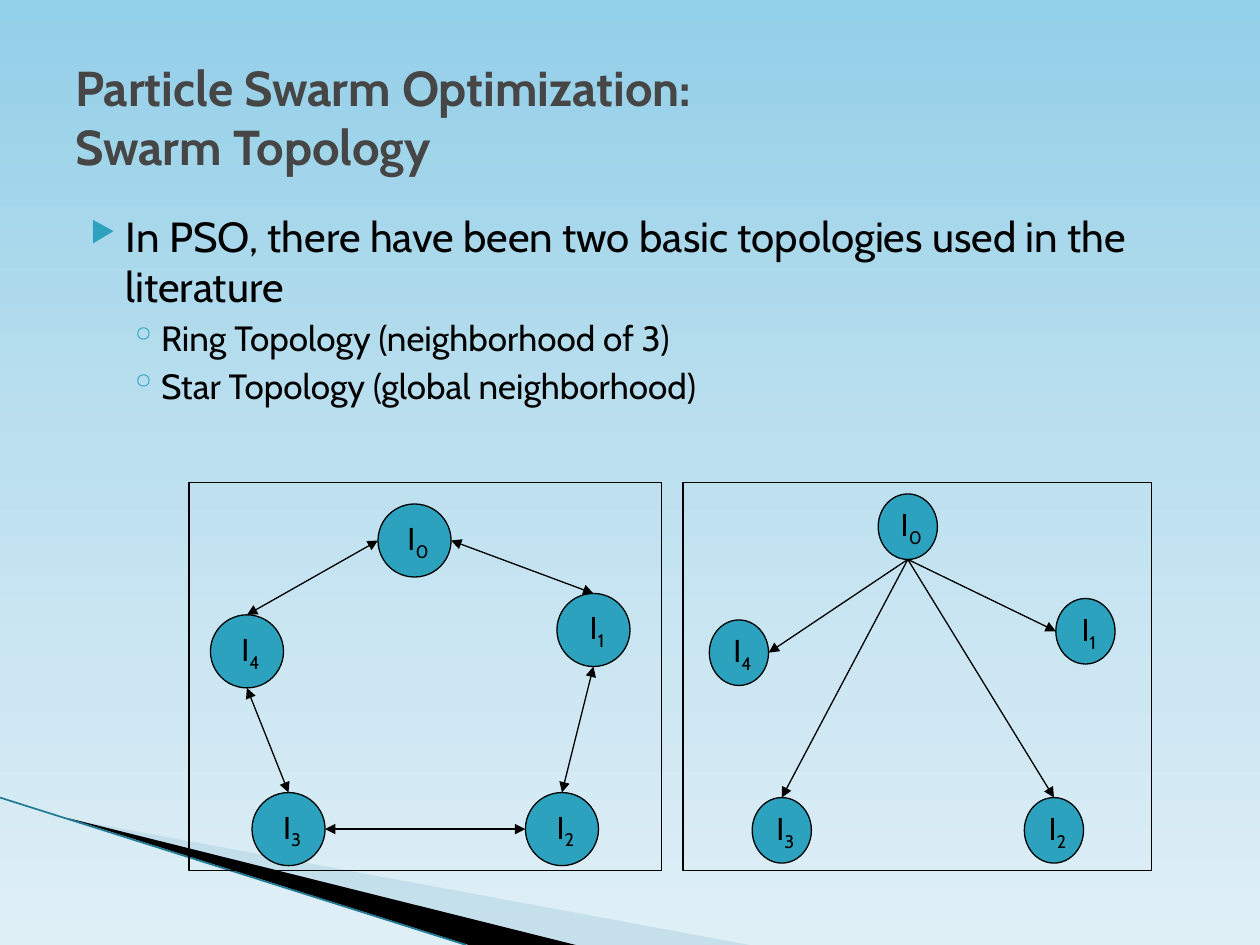
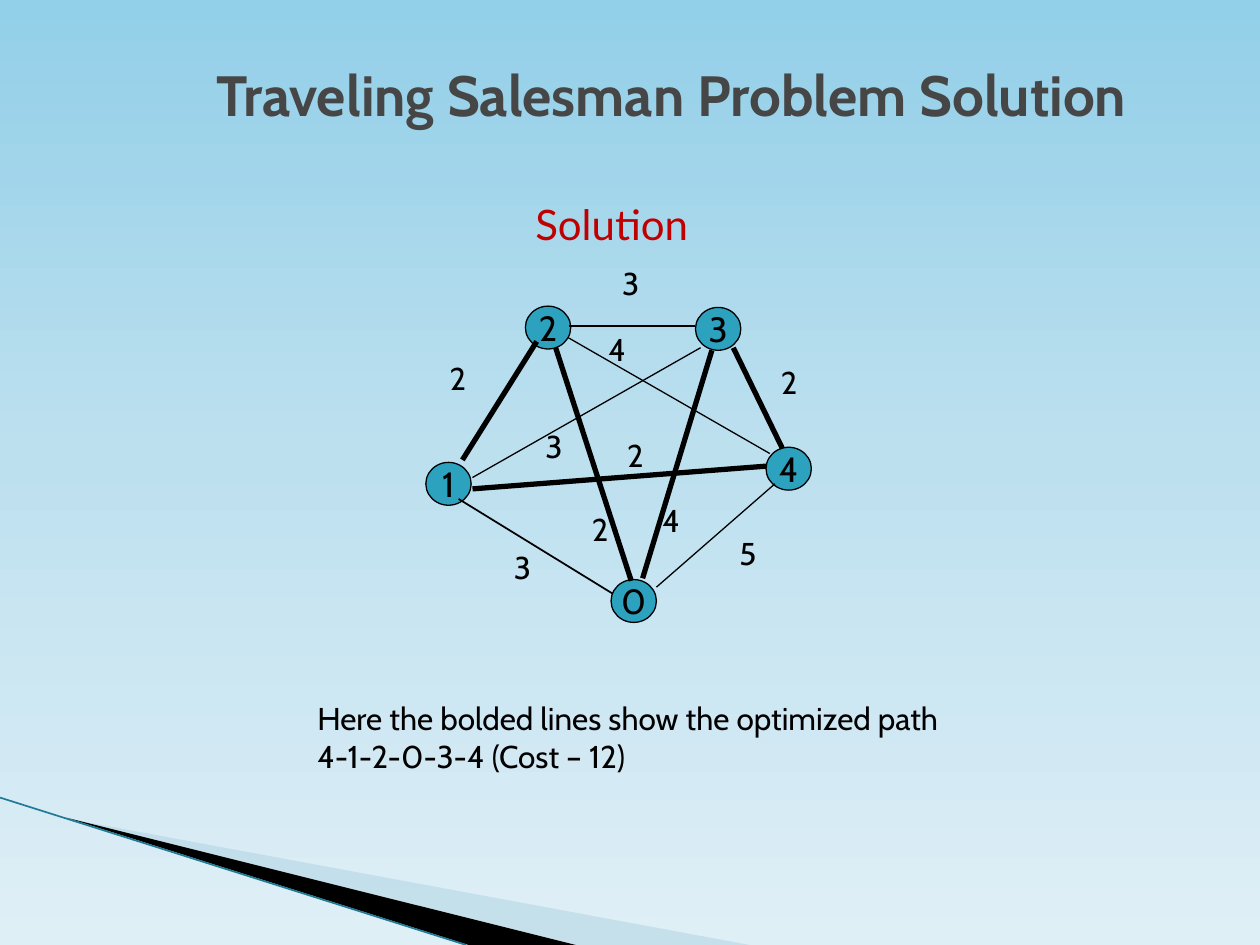
import copy

from lxml import etree
from pptx import Presentation
from pptx import util as u
from pptx.dml.color import RGBColor
from pptx.enum import shapes, text
from pptx.oxml.ns import qn

COLORS = {
    "sky_top": "92CFE8", "sky_middle": "BDE0EF", "sky_bottom": "DFEFF6",
    "wedge": "A0CBDC", "swoosh": "1F7A96", "node": "2DA2BF",
    "title": "464646", "ink": "000000", "accent": "C00000",
}
FONT = "Cabin"
BULLETS = [  # character, left margin, hanging indent, size in %, text size, space before
    ("▶", 0.4, 0.28, 68, 24, 0),
    ("◦", 0.68, 0.25, 100, 20, 3.2),
]
TOP, LEFT, BOTTOM, RIGHT = (0.5, 0), (0, 0.5), (0.5, 1), (1, 0.5)


def rgb(name):
    return RGBColor.from_string(COLORS[name])


def add_child(parent, tag, **attrs):
    child = etree.SubElement(parent, qn(tag))
    for key, value in attrs.items():
        child.set(key, str(value))
    return child


def add_run(p, words, size, color="ink", font=FONT, bold=False):
    r = p.add_run()
    r.text = words
    r.font.size, r.font.name, r.font.bold = u.Pt(size), font, bold
    r.font.color.rgb = rgb(color)
    return r


def add_text(parent, box, lines, size, color="ink", font=FONT):
    """Unwrapped text box that fits its text, one paragraph a line."""
    tf = parent.shapes.add_textbox(*map(u.Inches, box)).text_frame
    tf.word_wrap = False
    tf.auto_size = text.MSO_AUTO_SIZE.SHAPE_TO_FIT_TEXT
    for i, line in enumerate(lines):
        p = tf.add_paragraph() if i else tf.paragraphs[0]
        add_run(p, line, size, color, font)


def add_line(parent, start, end, width=0.75, color="ink", heads=()):
    """Straight line; heads may name headEnd and tailEnd."""
    line = parent.shapes.add_connector(
        shapes.MSO_CONNECTOR.STRAIGHT, *map(u.Inches, (*start, *end)))
    line.line.width = u.Pt(width)
    line.line.color.rgb = rgb(color)
    sp_pr = line._element.spPr
    for head in heads:
        add_child(sp_pr.find(qn("a:ln")), f"a:{head}", type="triangle")
    add_child(sp_pr, "a:effectLst")


def add_outlined(parent, kind, box, fill=None):
    sp = parent.shapes.add_shape(kind, *map(u.Inches, box))
    sp.shadow.inherit = False
    if fill:
        sp.fill.solid()
        sp.fill.fore_color.rgb = rgb(fill)
    else:
        sp.fill.background()
    sp.line.color.rgb = rgb("ink")
    sp.line.width = u.Pt(0.75)
    return sp


def add_node(parent, box, label, size, subscript=None):
    sp = add_outlined(parent, shapes.MSO_SHAPE.OVAL, box, "node")
    tf = sp.text_frame
    tf.word_wrap = False
    tf.vertical_anchor = text.MSO_ANCHOR.MIDDLE
    p = tf.paragraphs[0]
    p.alignment = text.PP_ALIGN.CENTER
    add_run(p, label, size)
    if subscript is not None:
        r = add_run(p, subscript, size)
        r.font._element.set("baseline", "-25000")


def add_wedge(slide, points, color, opacity=None):
    corners = [tuple(map(u.Inches, point)) for point in points]
    builder = slide.shapes.build_freeform(*corners[0])
    builder.add_line_segments(corners[1:])
    sp = builder.convert_to_shape()
    sp.shadow.inherit = False
    sp.fill.solid()
    sp.fill.fore_color.rgb = rgb(color)
    sp.line.fill.background()
    if opacity:
        tone = sp._element.spPr.find(qn("a:solidFill"))[0]
        add_child(tone, "a:alpha", val=opacity * 1000)


def paint_background(slide):
    fill = slide.background.fill
    fill.gradient()
    fill.gradient_angle = 270
    stops = fill.gradient_stops
    first = stops[0]._gs
    first.addnext(copy.deepcopy(first))
    names = ("sky_top", "sky_middle", "sky_bottom")
    for stop, name, position in zip(fill.gradient_stops, names, (0, 0.48, 1)):
        stop.color.rgb = rgb(name)
        stop.position = position


def new_slide(prs):
    """Blank slide with the shared sky and corner swoosh."""
    slide = prs.slides.add_slide(prs.slide_layouts[6])
    paint_background(slide)
    add_wedge(slide, [(0.55, 6.5), (5.95, 7.5), (4.56, 7.5)], "wedge", 40)
    add_wedge(slide, [(0.53, 6.49), (4.57, 7.5), (3.72, 7.5)], "ink")
    add_line(slide, (0, 6.33), (3.7, 7.5), 0.95, "swoosh")
    return slide


def add_title(slide, box, lines, size, align=text.PP_ALIGN.LEFT):
    tf = slide.shapes.add_textbox(*map(u.Inches, box)).text_frame
    tf.word_wrap = True
    tf.vertical_anchor = text.MSO_ANCHOR.MIDDLE
    p = tf.paragraphs[0]
    p.alignment = align
    for i, line in enumerate(lines):
        if i:
            p.add_line_break()
        add_run(p, line, size, "title", bold=True)


def add_bullets(slide, box, items):
    tf = slide.shapes.add_textbox(*map(u.Inches, box)).text_frame
    tf.word_wrap = True
    for i, (level, words) in enumerate(items):
        char, margin, hang, percent, size, before = BULLETS[level]
        p = tf.add_paragraph() if i else tf.paragraphs[0]
        p.level = level
        p_pr = p._p.get_or_add_pPr()
        p_pr.set("marL", str(u.Inches(margin)))
        p_pr.set("indent", str(-u.Inches(hang)))
        add_child(add_child(p_pr, "a:buClr"), "a:srgbClr", val=COLORS["node"])
        add_child(p_pr, "a:buSzPct", val=percent * 1000)
        add_child(p_pr, "a:buChar", char=char)
        if i:
            p.space_before = u.Pt(before)
        add_run(p, words, size)


def add_topology(slide, box, node_size, places, links, heads):
    """Framed swarm; places are node corners in the box, links join node sides."""
    left, top, width, height = box
    node_w, node_h = node_size
    corners = [(left + x, top + y) for x, y in places]

    def side_point(node, side):
        x, y = corners[node]
        return x + side[0] * node_w, y + side[1] * node_h

    for number, corner in enumerate(corners):
        add_node(slide, (*corner, *node_size), " I", 18, str(number))
    for start, start_side, end, end_side in links:
        add_line(slide, side_point(start, start_side),
                 side_point(end, end_side), heads=heads)
    add_outlined(slide, shapes.MSO_SHAPE.RECTANGLE, box)


def add_city_graph(slide, left, top, cities, roads):
    """Cities and roads with their costs, placed from the graph's corner."""
    group = slide.shapes.add_group_shape()

    def place(point):
        return left + point[0], top + point[1]

    for name, corner in cities.items():
        add_node(group, (*place(corner), 0.36, 0.34), name, 20)
    for start, end, width, _, _ in roads:
        add_line(group, place(start), place(end), width)
    for _, _, _, cost, corner in roads:
        add_text(group, (*place(corner), 0.33, 0.4), [cost], 18)


def build_topology_slide(prs):
    slide = new_slide(prs)
    add_title(slide, (0.5, 0.3, 9, 1.25),
              ["Particle Swarm Optimization:", "Swarm Topology"], 28)
    add_bullets(slide, (0.5, 1.62, 9, 2.1), [
        (0, "In PSO, there have been two basic topologies used in the literature"),
        (1, "Ring Topology (neighborhood of 3)"),
        (1, "Star Topology (global neighborhood)"),
    ])
    star_places = [(1.55, 0.09), (2.96, 0.92), (2.71, 2.5), (0.55, 2.5), (0.21, 1.09)]
    star_links = [(0, BOTTOM, end, side) for end, side in
                  ((4, RIGHT), (3, TOP), (1, LEFT), (2, TOP))]
    add_topology(slide, (5.42, 3.83, 3.72, 3.08), (0.47, 0.52),
                 star_places, star_links, ["tailEnd"])
    ring_places = [(1.5, 0.17), (2.92, 0.88), (2.67, 2.46), (0.5, 2.46), (0.17, 1.05)]
    ring_links = [(0, LEFT, 4, TOP), (3, RIGHT, 2, LEFT), (2, TOP, 1, BOTTOM),
                  (1, TOP, 0, RIGHT), (4, BOTTOM, 3, TOP)]
    add_topology(slide, (1.5, 3.83, 3.75, 3.08), (0.58, 0.58),
                 ring_places, ring_links, ["headEnd", "tailEnd"])


def build_salesman_slide(prs):
    slide = new_slide(prs)
    add_title(slide, (1.08, 0.33, 8.5, 0.83),
              ["Traveling Salesman Problem Solution"], 32.4, text.PP_ALIGN.CENTER)
    cities = {"2": (0.79, 0.38), "3": (2.14, 0.39), "1": (0, 1.62),
              "4": (2.7, 1.5), "0": (1.47, 2.55)}
    thin, medium, bold = 0.75, 1, 3
    roads = [  # start, end, line width, cost, cost corner
        ((0.29, 1.6), (0.88, 0.66), bold, "2", (0.09, 0.75)),
        ((1.14, 0.54), (2.14, 0.54), medium, "3", (1.46, 0)),
        ((0.26, 1.91), (1.48, 2.66), medium, "3", (0.6, 2.25)),
        ((2.44, 0.71), (2.83, 1.51), bold, "2", (2.72, 0.78)),
        ((2.77, 1.79), (1.83, 2.61), thin, "5", (2.39, 2.14)),
        ((1.03, 0.71), (1.63, 2.56), bold, "2", (1.22, 1.95)),
        ((0.37, 1.74), (2.18, 0.71), thin, "3", (0.85, 1.29)),
        ((0.37, 1.83), (2.7, 1.65), bold, "2", (1.5, 1.36)),
        ((2.27, 0.73), (1.72, 2.54), bold, "4", (1.78, 1.88)),
        ((1.13, 0.63), (2.73, 1.55), thin, "4", (1.35, 0.52)),
    ]
    add_city_graph(slide, 3.38, 2.05, cities, roads)
    add_text(slide, (4.15, 1.53, 1.43, 0.5), ["Solution"], 24, "accent", "Lato")
    add_text(slide, (2.42, 5.5, 5.96, 0.71),
             ["Here the bolded lines show the optimized path",
              "4-1-2-0-3-4 (Cost – 12)"], 18)


def main():
    prs = Presentation()
    prs.slide_width, prs.slide_height = u.Inches(10), u.Inches(7.5)
    build_topology_slide(prs)
    build_salesman_slide(prs)
    prs.save("out.pptx")


if __name__ == "__main__":
    main()
